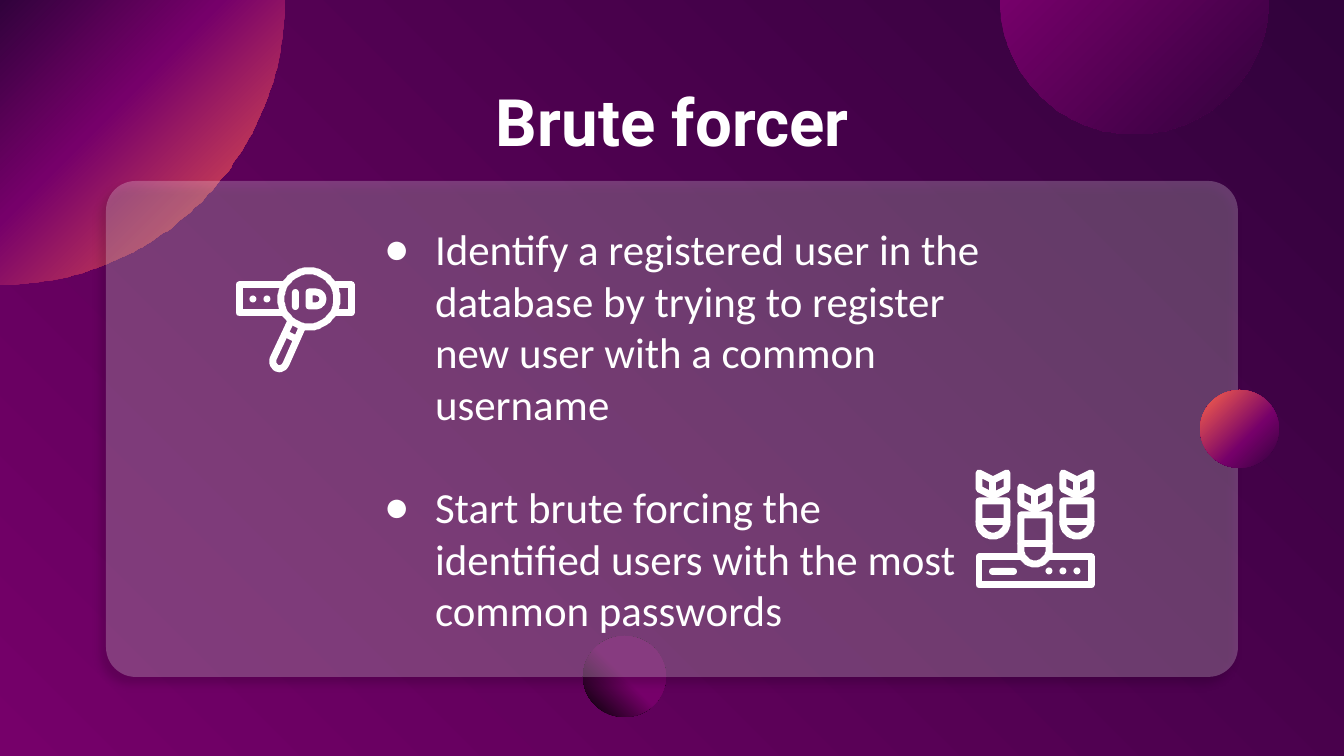
from math import cos, radians, sin

from lxml import etree
from pptx import Presentation
from pptx.dml.color import RGBColor
from pptx.enum.shapes import MSO_SHAPE
from pptx.enum.text import MSO_ANCHOR, MSO_AUTO_SIZE, PP_ALIGN
from pptx.oxml.ns import qn
from pptx.util import Pt

OVAL, ROUND = MSO_SHAPE.OVAL, MSO_SHAPE.ROUNDED_RECTANGLE
DELAY = MSO_SHAPE.FLOWCHART_DELAY
LEFT, CENTER = PP_ALIGN.LEFT, PP_ALIGN.CENTER
MIDDLE, NO_FIT = MSO_ANCHOR.MIDDLE, MSO_AUTO_SIZE.NONE
SCALE = 914400 / 134.4
WHITE, PURPLE, DARK, CORAL = "FFFFFF", "76006A", "31023C", "FF6649"

# Content
TITLE = "Brute forcer"
POINTS = [
    "Identify a registered user in the database by trying to register "
    "new user with a common username",
    "Start brute forcing the identified users with the most common passwords",
]

# Places and gradients, in px
PAGE = (1344, 756)
PANEL = (106, 181, 1132, 496)
TITLE_BOX = (106, 60, 1133, 120)
BODY_BOX = (355, 180, 653, 498)
FADE = [(0, PURPLE), (100, DARK)]
GLOW = [(0, CORAL), (61, PURPLE), (100, DARK)]
SHADE = [(0, PURPLE), (50, PURPLE), (100, "000000")]

# Icon strokes: points of each line
STROKE, DOT = 3.75, 7
ID_LINES = [
    [(283, 285), (239, 285), (239, 313), (283, 313)],
    [(336, 285), (351, 285), (351, 313), (336, 313), (336, 285)],
    [(290, 323), (273, 359), (273, 364), (276, 368), (280, 369), (284, 367),
     (286, 364), (302, 328)],
    [(288, 335), (296, 339)],
]
ID_DOTS = [(253, 299), (267, 299)]
BASE = [(1021, 557), (979, 557), (979, 585), (1091, 585), (1091, 557), (1049, 557)]
BASE_DOTS = [(1049, 571), (1063, 571), (1077, 571)]
# Each bomb: middle, top, depth of its band, depth of its round end, other lines
BOMBS = [(993, 473, 21, 21, []), (1077, 473, 21, 21, []), (1035, 487, 29, 35, [BASE])]


def px(n):
    return round(n * SCALE)


def color(code):
    return RGBColor.from_string(code)


def add(parent, tag, **attrs):
    node = etree.SubElement(parent, qn(tag))
    for key, val in attrs.items():
        node.set(key, str(val))
    return node


def grad(fill, root, stops, angle=None, focus=None):
    fill.gradient()
    node = root.find(".//" + qn("a:gradFill"))
    for child in list(node):
        node.remove(child)
    row = add(node, "a:gsLst")
    for pos, code in stops:
        add(add(row, "a:gs", pos=pos * 1000), "a:srgbClr", val=code)
    if focus:
        way = add(node, "a:path", path="circle")
        x, y = focus
        add(way, "a:fillToRect", l=x * 1000, t=y * 1000,
            r=(100 - x) * 1000, b=(100 - y) * 1000)
    else:
        add(node, "a:lin", ang=angle * 60000, scaled=0)


def plain(shape, fill=None, line=None):
    shape.shadow.inherit = False
    if fill:
        shape.fill.solid()
        shape.fill.fore_color.rgb = color(fill)
    else:
        shape.fill.background()
    if line:
        shape.line.color.rgb = color(line)
        shape.line.width = Pt(STROKE)
        ln = shape.line._get_or_add_ln()
        ln.set("cap", "rnd")
        add(ln, "a:round")
    else:
        shape.line.fill.background()
    return shape


def preset(shapes, kind, box, **look):
    return plain(shapes.add_shape(kind, *map(px, box)), **look)


def outline(shapes, lines, **look):
    pen = shapes.build_freeform(*lines[0][0], scale=SCALE)
    for i, points in enumerate(lines):
        if i:
            pen.move_to(*points[0])
        pen.add_line_segments(points[1:], close=points[0] == points[-1])
    return plain(pen.convert_to_shape(), **look)


def arc(x, y, r, start, end, steps=90):
    turns = [radians(start + (end - start) * i / steps) for i in range(steps + 1)]
    return [(x + r * cos(t), y + r * sin(t)) for t in turns]


def dots(shapes, spots):
    for x, y in spots:
        preset(shapes, OVAL, (x - DOT / 2, y - DOT / 2, DOT, DOT), fill=WHITE)


def write(par, text, size, font, bold=False, align=LEFT, before=0, bullet=False):
    par.alignment, par.space_before = align, Pt(before)
    if bullet:
        props = par._p.get_or_add_pPr()
        props.set("marL", str(px(67)))
        props.set("indent", str(px(-51)))
        add(add(props, "a:buClr"), "a:srgbClr", val=WHITE)
        add(props, "a:buChar", char="●")
    run = par.add_run()
    run.text = text
    run.font.size, run.font.name, run.font.bold = Pt(size), font, bold
    run.font.color.rgb = color(WHITE)


def place(holder, box):
    holder.left, holder.top, holder.width, holder.height = map(px, box)
    frame = holder.text_frame
    frame.word_wrap, frame.auto_size = True, NO_FIT
    frame.vertical_anchor = MIDDLE
    frame.margin_left = frame.margin_right = px(13)
    frame.margin_top = frame.margin_bottom = px(13)
    holder._element.getparent().append(holder._element)
    return frame


deck = Presentation()
deck.slide_width, deck.slide_height = map(px, PAGE)
slide = deck.slides.add_slide(deck.slide_layouts[1])
shapes = slide.shapes
title, body = slide.placeholders
grad(slide.background.fill, slide._element, FADE, angle=315)

# Round shapes and the glass panel
ball = preset(shapes, OVAL, (583, 636, 83, 81))
grad(ball.fill, ball._element, SHADE, focus=(100, 0))
corner = outline(shapes, [[(0, 0)] + arc(0, 0, 285, 0, 90) + [(0, 0)]])
grad(corner.fill, corner._element, GLOW, focus=(100, 100))

panel = preset(shapes, ROUND, PANEL, fill=WHITE)
panel.adjustments[0] = 0.06
tint = panel._element.spPr.find(qn("a:solidFill"))[0]
add(tint, "a:alpha", val=23000)
shadow = add(panel._element.spPr.find(qn("a:effectLst")), "a:outerShdw",
             blurRad=Pt(4.5), dist=Pt(4.5), dir=126 * 60000, rotWithShape=0)
add(add(shadow, "a:srgbClr", val="000000"), "a:alpha", val=65000)

dome = outline(shapes, [arc(1134.5, 0, 134.5, 0, 180)])
grad(dome.fill, dome._element, FADE, angle=45)
bead = preset(shapes, OVAL, (1200, 390, 79, 78))
grad(bead.fill, bead._element, GLOW, focus=(0, 0))

# Title and list
write(place(title, TITLE_BOX).paragraphs[0], TITLE, 35, "Roboto", bold=True, align=CENTER)
frame = place(body, BODY_BOX)
for i, point in enumerate(POINTS):
    par = frame.add_paragraph() if i else frame.paragraphs[0]
    write(par, point, 23, "Calibri", before=28 if i else 0, bullet=True)

# Magnifier icon
lens = shapes.add_group_shape().shapes
ring = arc(309, 299, 28, 0, 360)
outline(lens, ID_LINES + [ring[:-1] + ring[:1]], line=WHITE)
preset(lens, ROUND, (292, 289, 7, 21), fill=WHITE).adjustments[0] = 0.5
preset(lens, DELAY, (309, 292, 14, 14), line=WHITE)
dots(lens, ID_DOTS)

# Bombs icon
bombs = shapes.add_group_shape().shapes
for x, y, bar, drop, more in BOMBS:
    a, b, top = x - 14, x + 14, y + 28
    fin = [(a, y), (x, y + 7), (b, y), (b, y + 16), (x, y + 23), (a, y + 16), (a, y)]
    shell = [(a, top), (b, top)] + arc(x, top + drop, 14, 0, 180) + [(a, top)]
    fold = [(x, y + 7), (x, y + 23)]
    band = [(a, top + bar), (b, top + bar)]
    outline(bombs, [fin, fold, shell, band] + more, line=WHITE)
preset(bombs, ROUND, (989, 568, 28, 7), fill=WHITE).adjustments[0] = 0.5
dots(bombs, BASE_DOTS)

deck.save("out.pptx")
